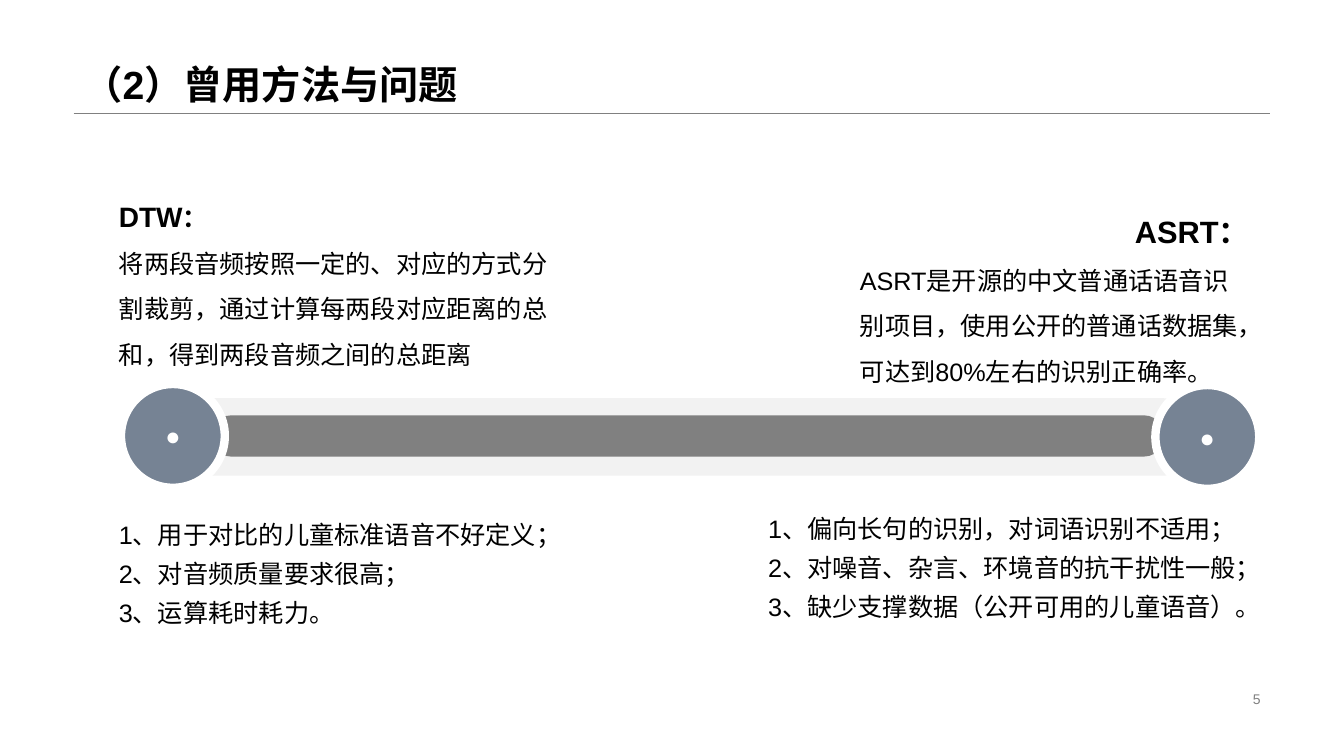
from pptx import Presentation
from pptx.dml.color import RGBColor
from pptx.enum.shapes import MSO_CONNECTOR, MSO_SHAPE
from pptx.enum.text import MSO_ANCHOR, PP_ALIGN
from pptx.oxml.ns import qn
from pptx.util import Pt
from lxml import etree

LEFT, MID, RIGHT = PP_ALIGN.LEFT, PP_ALIGN.CENTER, PP_ALIGN.RIGHT
TOP, CENTER, BOTTOM = MSO_ANCHOR.TOP, MSO_ANCHOR.MIDDLE, MSO_ANCHOR.BOTTOM
BAR, DISC = MSO_SHAPE.ROUNDED_RECTANGLE, MSO_SHAPE.OVAL
LINE = MSO_CONNECTOR.STRAIGHT

PX = 9144  # 100 px to the inch
FONT = "Arial"
COLORS = {
    "ink": "000000",
    "gray": "808080",
    "pale": "F2F2F2",
    "slate": "768394",
    "white": "FFFFFF",
}


def color(name):
    return RGBColor.from_string(COLORS[name])


class Deck:
    def __init__(self, wide, high):
        self.file = Presentation()
        self.file.slide_width = wide * PX
        self.file.slide_height = high * PX
        self.slide = self.file.slides.add_slide(self.file.slide_layouts[6])

    def rule(self, x, y, end, tint, width):
        line = self.slide.shapes.add_connector(LINE, x * PX, y * PX, end * PX, y * PX)
        line.line.color.rgb = color(tint)
        line.line.width = Pt(width)
        etree.SubElement(line._element.spPr, qn("a:effectLst"))

    def shape(self, kind, box, fill, edge=None):
        item = self.slide.shapes.add_shape(kind, *[n * PX for n in box])
        item.shadow.inherit = False
        item.fill.solid()
        item.fill.fore_color.rgb = color(fill)
        if edge:
            item.line.color.rgb = color(edge)
            item.line.width = Pt(6)
        else:
            item.line.fill.background()
        return item

    def bar(self, box, fill):
        self.shape(BAR, box, fill).adjustments[0] = 0.5

    def disc(self, box):
        item = self.shape(DISC, box, "slate", "white")
        item.text_frame.vertical_anchor = CENTER
        self.para(item.text_frame.paragraphs[0], "●", 18, True, MID, tint="white")

    def para(self, par, text, size, bold=False, align=LEFT, space=None, tint="ink"):
        par.text = text
        par.alignment = align
        if space:
            par.line_spacing = space
        par.font.name = FONT
        par.font.size = Pt(size)
        par.font.bold = bold
        par.font.color.rgb = color(tint)
        return par

    def text(self, box, paras, anchor=TOP):
        frame = self.slide.shapes.add_textbox(*[n * PX for n in box]).text_frame
        frame.word_wrap = True
        frame.vertical_anchor = anchor
        for i, args in enumerate(paras):
            par = frame.add_paragraph() if i else frame.paragraphs[0]
            self.para(par, **args)
        return frame

    def points(self, box, lines):
        self.text(box, [dict(text=t, size=18, space=1.3) for t in lines])


def main():
    deck = Deck(1333, 750)

    # Title, rule and page number
    deck.rule(73, 112, 1260, "gray", 0.25)
    deck.text((73, 0, 1187, 112),
              [dict(text="（2）曾用方法与问题", size=28, bold=True, space=0.9)], BOTTOM)
    deck.text((942, 682, 318, 23),
              [dict(text="5", size=10, align=RIGHT, tint="gray")], CENTER)

    # Track with a disc at each end
    deck.bar((173, 395, 1018, 77), "pale")
    deck.bar((209, 412, 946, 41), "gray")
    for x, y in ((1146, 382), (120, 381)):
        deck.disc((x, y, 103, 103))

    # DTW: method above, problems below
    frame = deck.text((108, 193, 452, 180), [
        dict(text="DTW", size=20, bold=True),
        dict(text="将两段音频按照一定的、对应的方式分割裁剪，"
                  "通过计算每两段对应距离的总和，得到两段音频之间的总距离",
             size=18, space=1.5),
    ])
    colon = frame.paragraphs[0].add_run()
    colon.text = "："
    colon.font.size = Pt(18)
    deck.points((108, 501, 463, 129), [
        "1、用于对比的儿童标准语音不好定义；",
        "2、对音频质量要求很高；",
        "3、运算耗时耗力。",
    ])

    # ASRT: method above, problems below
    deck.text((843, 178, 406, 210), [
        dict(text="ASRT：", size=22, bold=True, align=RIGHT, space=1.5),
        dict(text="ASRT是开源的中文普通话语音识别项目，"
                  "使用公开的普通话数据集，可达到80%左右的识别正确率。",
             size=18, space=1.5),
    ], BOTTOM)
    deck.points((752, 495, 496, 210), [
        "1、偏向长句的识别，对词语识别不适用；",
        "2、对噪音、杂言、环境音的抗干扰性一般；",
        "3、缺少支撑数据（公开可用的儿童语音）。",
    ])

    deck.file.save("out.pptx")


if __name__ == "__main__":
    main()
